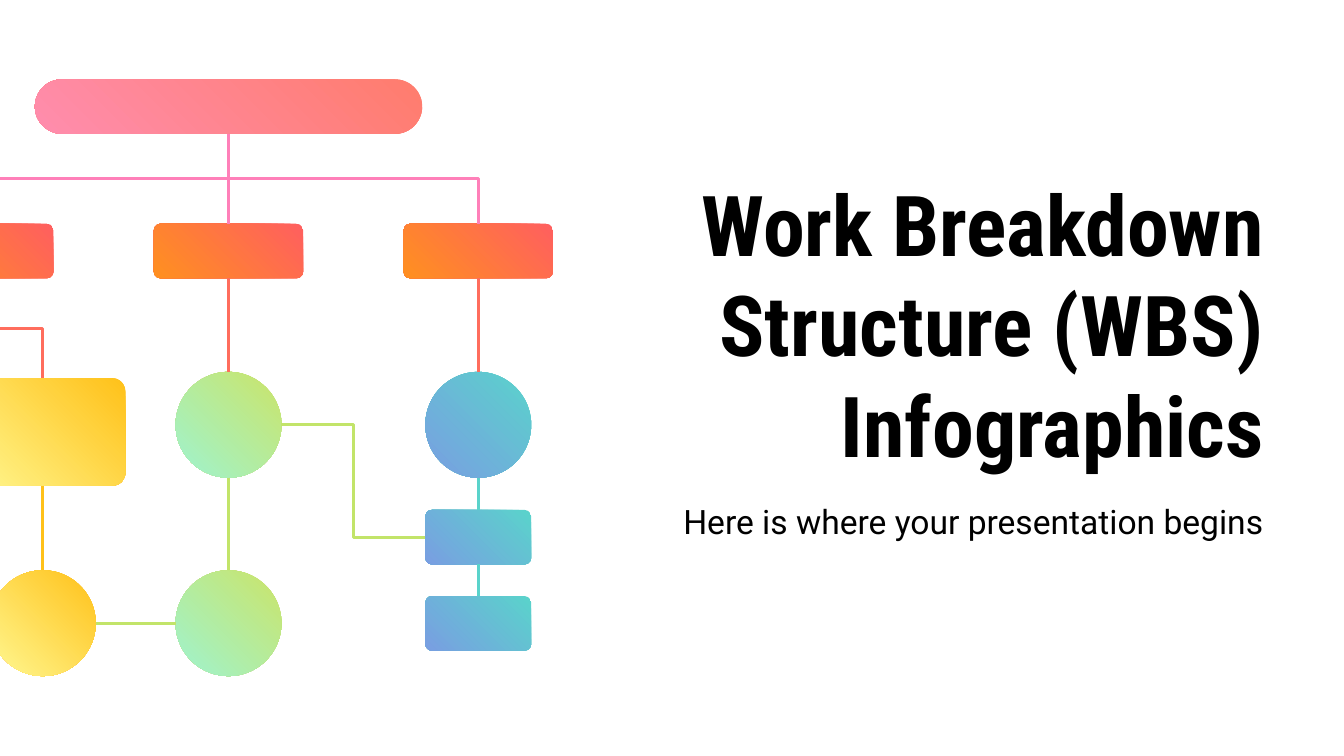
"""Build the opening slide of a work breakdown structure deck."""
from dataclasses import dataclass

from lxml import etree
from pptx import Presentation
from pptx.dml.color import RGBColor
from pptx.enum.shapes import MSO_CONNECTOR, MSO_SHAPE
from pptx.enum.text import MSO_ANCHOR, MSO_AUTO_SIZE, PP_ALIGN
from pptx.oxml.ns import qn
from pptx.util import Cm, Pt

ELLIPSE, ROUNDED = MSO_SHAPE.OVAL, MSO_SHAPE.ROUNDED_RECTANGLE
STRAIGHT, ELBOW = MSO_CONNECTOR.STRAIGHT, MSO_CONNECTOR.ELBOW
ANCHOR_TOP, ANCHOR_BOTTOM = MSO_ANCHOR.TOP, MSO_ANCHOR.BOTTOM
NO_AUTOFIT = MSO_AUTO_SIZE.NONE
ALIGN_RIGHT = PP_ALIGN.RIGHT
TOP, LEFT, BOTTOM, RIGHT = range(4)

BLACK = RGBColor(0x00, 0x00, 0x00)
PINK = RGBColor(0xFF, 0x80, 0xB9)
CORAL = RGBColor(0xFF, 0x6D, 0x5D)
AMBER = RGBColor(0xFF, 0xC1, 0x19)
LIME = RGBColor(0xC2, 0xE4, 0x69)
TEAL = RGBColor(0x5A, 0xD3, 0xCB)
PINK_GRADIENT = (RGBColor(0xFF, 0x7C, 0x6D), RGBColor(0xFF, 0x8D, 0xAD))
ORANGE_GRADIENT = (RGBColor(0xFF, 0x5F, 0x5F), RGBColor(0xFF, 0x90, 0x20))
YELLOW_GRADIENT = (AMBER, RGBColor(0xFF, 0xF8, 0x92))
GREEN_GRADIENT = (RGBColor(0xCB, 0xE4, 0x69), RGBColor(0x9F, 0xF3, 0xCF))
BLUE_GRADIENT = (TEAL, RGBColor(0x79, 0x9E, 0xE2))

COLUMN_GAP = 4.72
MIDDLE_X = 4.32
LEFT_X, RIGHT_X = MIDDLE_X - COLUMN_GAP, MIDDLE_X + COLUMN_GAP
YELLOW_X = 0.81
BAR_HEIGHT = 1.03
BRANCH_WIDTH = 2.82
DIAMETER = 2.0
BRANCH_Y, CIRCLE_Y, LOWER_CIRCLE_Y = 4.23, 7.03, 10.78
CORNER = 0.12


@dataclass(frozen=True)
class Node:
    center_x: float
    top: float
    width: float
    height: float
    gradient: tuple[RGBColor, RGBColor]
    kind: int = ROUNDED
    corner: float = CORNER


@dataclass(frozen=True)
class Link:
    begin: str
    begin_side: int
    end: str
    end_side: int
    color: RGBColor
    kind: int = STRAIGHT


def branch(center_x: float) -> Node:
    return Node(center_x, BRANCH_Y, BRANCH_WIDTH, BAR_HEIGHT, ORANGE_GRADIENT)


def circle(center_x: float, top: float, gradient) -> Node:
    return Node(center_x, top, DIAMETER, DIAMETER, gradient, ELLIPSE)


def blue_task(top: float) -> Node:
    return Node(RIGHT_X, top, DIAMETER, BAR_HEIGHT, BLUE_GRADIENT)


NODES = {
    "project": Node(MIDDLE_X, 1.5, 7.32, BAR_HEIGHT, PINK_GRADIENT, corner=0.5),
    "left branch": branch(LEFT_X),
    "middle branch": branch(MIDDLE_X),
    "right branch": branch(RIGHT_X),
    "yellow box": Node(YELLOW_X, 7.15, 3.12, 2.03, YELLOW_GRADIENT),
    "yellow circle": circle(YELLOW_X, LOWER_CIRCLE_Y, YELLOW_GRADIENT),
    "green circle": circle(MIDDLE_X, CIRCLE_Y, GREEN_GRADIENT),
    "lower green circle": circle(MIDDLE_X, LOWER_CIRCLE_Y, GREEN_GRADIENT),
    "blue circle": circle(RIGHT_X, CIRCLE_Y, BLUE_GRADIENT),
    "blue task": blue_task(9.64),
    "lower blue task": blue_task(11.27),
}

LINKS = (
    Link("project", BOTTOM, "middle branch", TOP, PINK),
    Link("project", BOTTOM, "left branch", TOP, PINK, ELBOW),
    Link("project", BOTTOM, "right branch", TOP, PINK, ELBOW),
    Link("left branch", BOTTOM, "yellow box", TOP, CORAL, ELBOW),
    Link("middle branch", BOTTOM, "green circle", TOP, CORAL),
    Link("right branch", BOTTOM, "blue circle", TOP, CORAL),
    Link("yellow box", BOTTOM, "yellow circle", TOP, AMBER),
    Link("green circle", BOTTOM, "lower green circle", TOP, LIME),
    Link("lower green circle", LEFT, "yellow circle", RIGHT, LIME),
    Link("green circle", RIGHT, "blue task", LEFT, LIME, ELBOW),
    Link("blue circle", BOTTOM, "blue task", TOP, TEAL),
    Link("blue task", BOTTOM, "lower blue task", TOP, TEAL),
)


def fill_placeholder(shape, text: str, top: float, height: float, anchor: int,
                     font_name: str, size: int, bold: bool) -> None:
    shape.left, shape.top = Cm(11), Cm(top)
    shape.width, shape.height = Cm(13.13), Cm(height)
    frame = shape.text_frame
    frame.word_wrap = True
    frame.auto_size = NO_AUTOFIT
    frame.vertical_anchor = anchor
    frame.margin_left = frame.margin_right = Cm(0.25)
    frame.margin_top = frame.margin_bottom = Cm(0.25)
    paragraph = frame.paragraphs[0]
    paragraph.alignment = ALIGN_RIGHT
    paragraph.space_before = Pt(0)
    run = paragraph.add_run()
    run.text = text
    run.font.name, run.font.size, run.font.bold = font_name, Pt(size), bold
    run.font.color.rgb = BLACK


def draw_node(slide, node: Node):
    shape = slide.shapes.add_shape(
        node.kind, Cm(node.center_x - node.width / 2), Cm(node.top),
        Cm(node.width), Cm(node.height))
    shape.shadow.inherit = False
    if node.kind == ROUNDED:
        shape.adjustments[0] = node.corner
    shape.fill.gradient()
    shape.fill.gradient_angle = 225
    for stop, color in zip(shape.fill.gradient_stops, node.gradient):
        stop.color.rgb = color
    shape.line.fill.background()
    return shape


def side_middle(node: Node, side: int) -> tuple[float, float]:
    x = node.center_x + node.width / 2 * {LEFT: -1, RIGHT: 1}.get(side, 0)
    y = node.top + node.height / 2 * {TOP: 0, BOTTOM: 2}.get(side, 1)
    return x, y


def draw_link(slide, link: Link, shapes: dict) -> None:
    begin, end = NODES[link.begin], NODES[link.end]
    begin_x, begin_y = side_middle(begin, link.begin_side)
    end_x, end_y = side_middle(end, link.end_side)
    turned = link.kind == ELBOW and link.begin_side == BOTTOM
    direction = 1 if end_x > begin_x else -1
    if turned:
        middle_x, middle_y = (begin_x + end_x) / 2, (begin_y + end_y) / 2
        half_drop = direction * (end_y - begin_y) / 2
        half_span = abs(end_x - begin_x) / 2
        begin_x, end_x = middle_x + half_drop, middle_x - half_drop
        begin_y, end_y = middle_y - half_span, middle_y + half_span
    connector = slide.shapes.add_connector(
        link.kind, Cm(begin_x), Cm(begin_y), Cm(end_x), Cm(end_y))
    connector.line.color.rgb = link.color
    connector.line.width = Pt(1.5)
    properties = connector._element.spPr
    etree.SubElement(properties, qn("a:effectLst"))
    if turned:
        rotation = 180 + direction * 90
        properties.find(qn("a:xfrm")).set("rot", str(rotation * 60000))
    if link.kind == STRAIGHT and begin.kind == ROUNDED:
        connector.begin_connect(shapes[link.begin], link.begin_side)
    if link.kind == STRAIGHT and end.kind == ROUNDED:
        connector.end_connect(shapes[link.end], link.end_side)


def main() -> None:
    presentation = Presentation()
    presentation.slide_width, presentation.slide_height = Cm(25.4), Cm(14.29)
    slide = presentation.slides.add_slide(presentation.slide_layouts[0])
    fill_placeholder(slide.shapes.title, "Work Breakdown Structure (WBS) Infographics",
                     2.59, 6.63, ANCHOR_BOTTOM, "Roboto Condensed", 45, True)
    fill_placeholder(slide.placeholders[1], "Here is where your presentation begins",
                     9.22, 1.47, ANCHOR_TOP, "Roboto", 18, False)
    shapes = {name: draw_node(slide, node) for name, node in NODES.items()}
    for link in LINKS:
        draw_link(slide, link, shapes)
    presentation.save("out.pptx")


if __name__ == "__main__":
    main()
